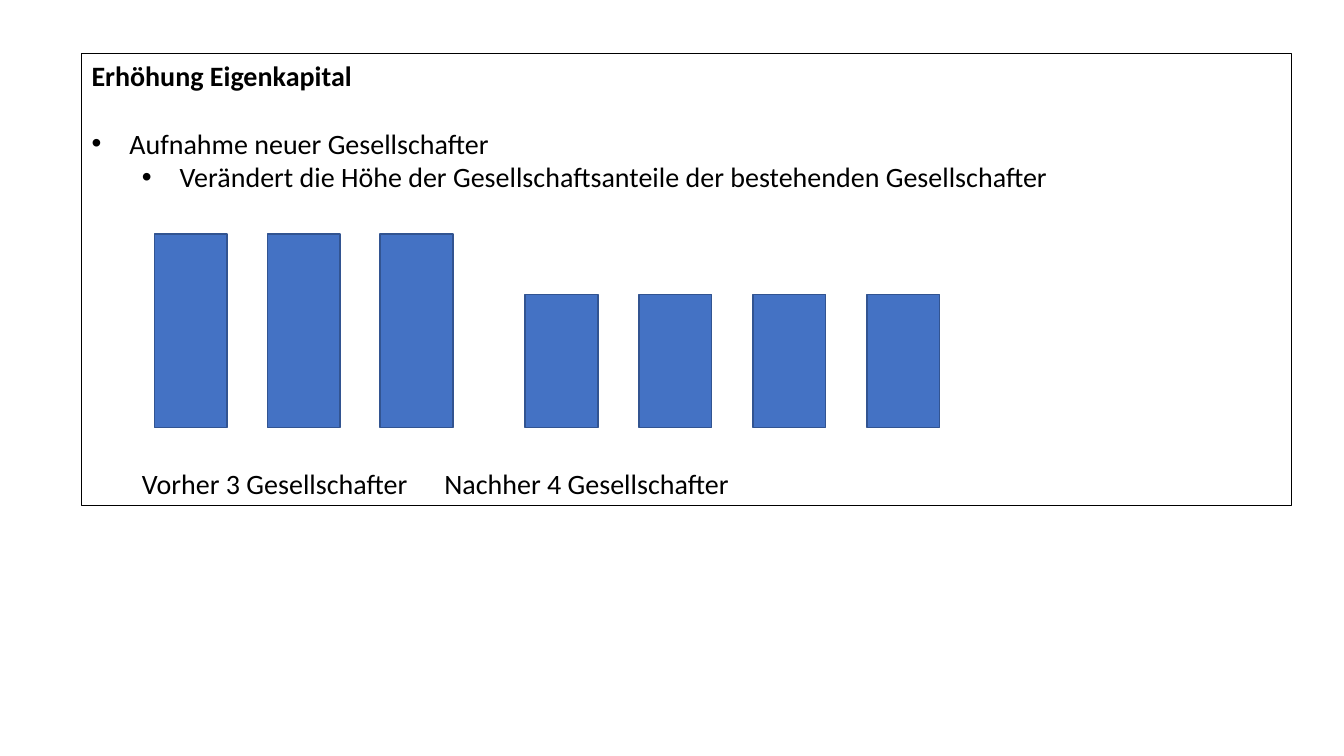
from lxml import etree
from pptx import Presentation
from pptx.dml.color import RGBColor
from pptx.enum import shapes, text
from pptx.oxml.ns import qn
from pptx.util import Pt

BLACK = RGBColor(0x00, 0x00, 0x00)
BAR_FILL = RGBColor(0x44, 0x72, 0xC4)
BAR_LINE = RGBColor(0x32, 0x54, 0x91)
LINE_HEIGHT = 24.4

deck = Presentation()
deck.slide_width, deck.slide_height = Pt(960), Pt(540)
slide = deck.slides.add_slide(deck.slide_layouts[6])

# Framed text: wording, level, left margin, hanging indent, blank lines above
lines = [
    ("Erhöhung Eigenkapital", 0, 0, 0, 0),
    ("Aufnahme neuer Gesellschafter", 0, 27, 27, 1),
    ("Verändert die Höhe der Gesellschaftsanteile der bestehenden Gesellschafter", 1, 63, 27, 0),
    ("Vorher 3 Gesellschafter\tNachher 4 Gesellschafter", 1, 36, 0, 8),
]
panel = slide.shapes.add_textbox(Pt(58.3), Pt(38.2), Pt(864), Pt(322.6))
panel.line.color.rgb = BLACK
panel.line.width = Pt(0.75)
frame = panel.text_frame
frame.word_wrap = True
frame.vertical_anchor = text.MSO_ANCHOR.TOP

for index, (wording, level, margin, hanging, blank_lines) in enumerate(lines):
    paragraph = frame.paragraphs[0] if index == 0 else frame.add_paragraph()
    paragraph.text = wording
    paragraph.level = level
    paragraph.space_before = Pt(blank_lines * LINE_HEIGHT)
    paragraph.font.name = "Calibri"
    paragraph.font.size = Pt(20)
    paragraph.font.bold = index == 0
    paragraph.font.color.rgb = BLACK
    properties = paragraph._p.get_or_add_pPr()
    properties.set("marL", str(Pt(margin)))
    properties.set("indent", str(-Pt(hanging)))
    # Bullets and tab stops belong before the default run properties
    defaults = properties.find(qn("a:defRPr"))
    if hanging:
        bullet_font = etree.Element(qn("a:buFont"), typeface="Arial")
        bullet = etree.Element(qn("a:buChar"), char="•")
        defaults.addprevious(bullet_font)
        defaults.addprevious(bullet)
    if "\t" in wording:
        tabs = etree.Element(qn("a:tabLst"))
        etree.SubElement(tabs, qn("a:tab"), pos=str(Pt(366)), algn="l")
        defaults.addprevious(tabs)

# Equal shares before and after: left edge, pitch, height, number of partners
share_width, baseline = 52, 305.3
share_groups = [(110.2, 80.7, 138.2, 3), (375.1, 81.4, 95, 4)]
for left, pitch, height, partners in share_groups:
    for partner in range(partners):
        share = slide.shapes.add_shape(
            shapes.MSO_SHAPE.RECTANGLE,
            Pt(left + partner * pitch), Pt(baseline - height), Pt(share_width), Pt(height))
        share.shadow.inherit = False
        share.fill.solid()
        share.fill.fore_color.rgb = BAR_FILL
        share.line.color.rgb = BAR_LINE
        share.line.width = Pt(1)

deck.save("out.pptx")
